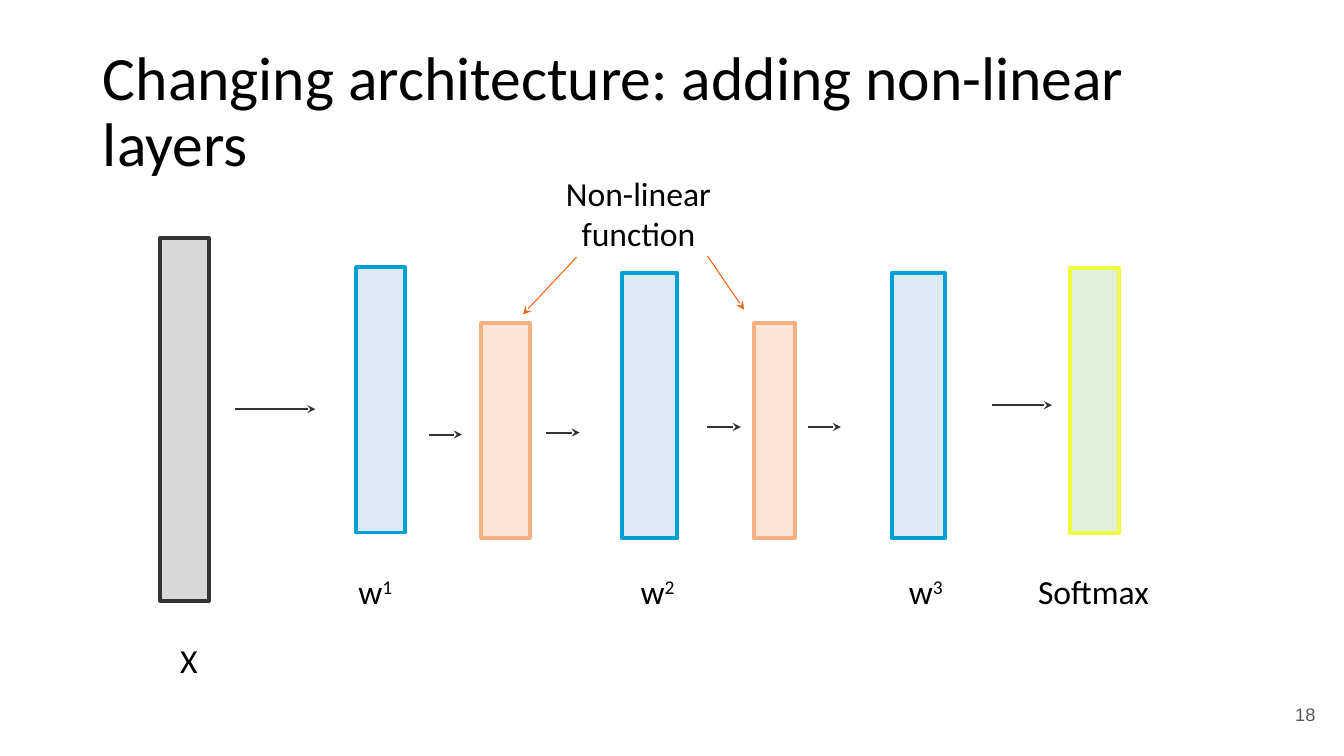
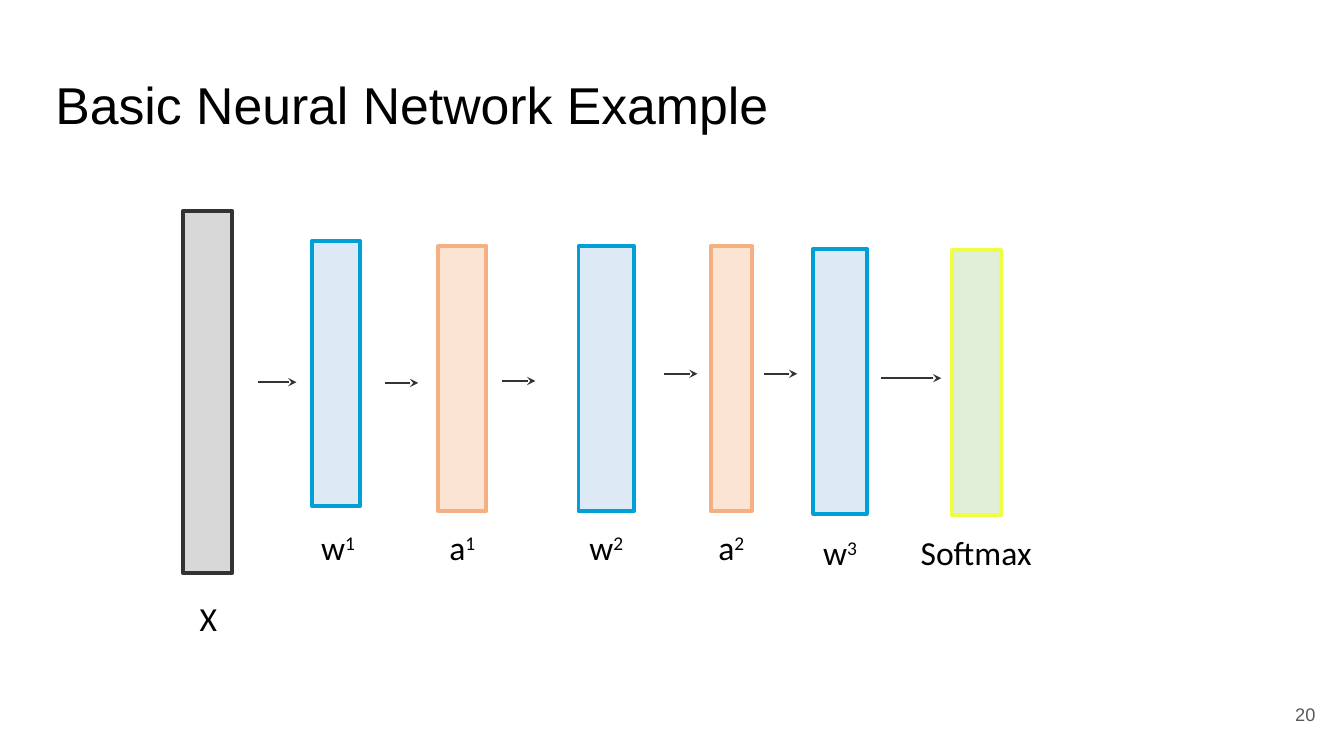
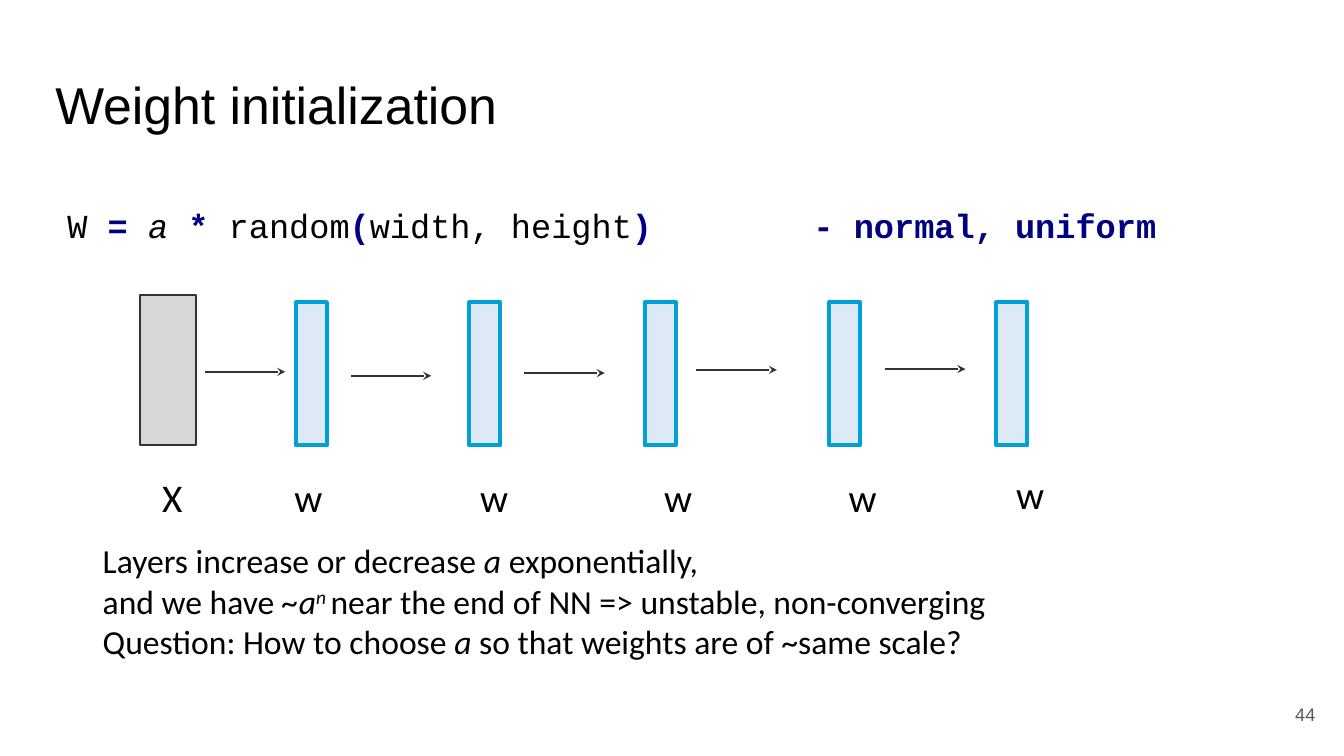
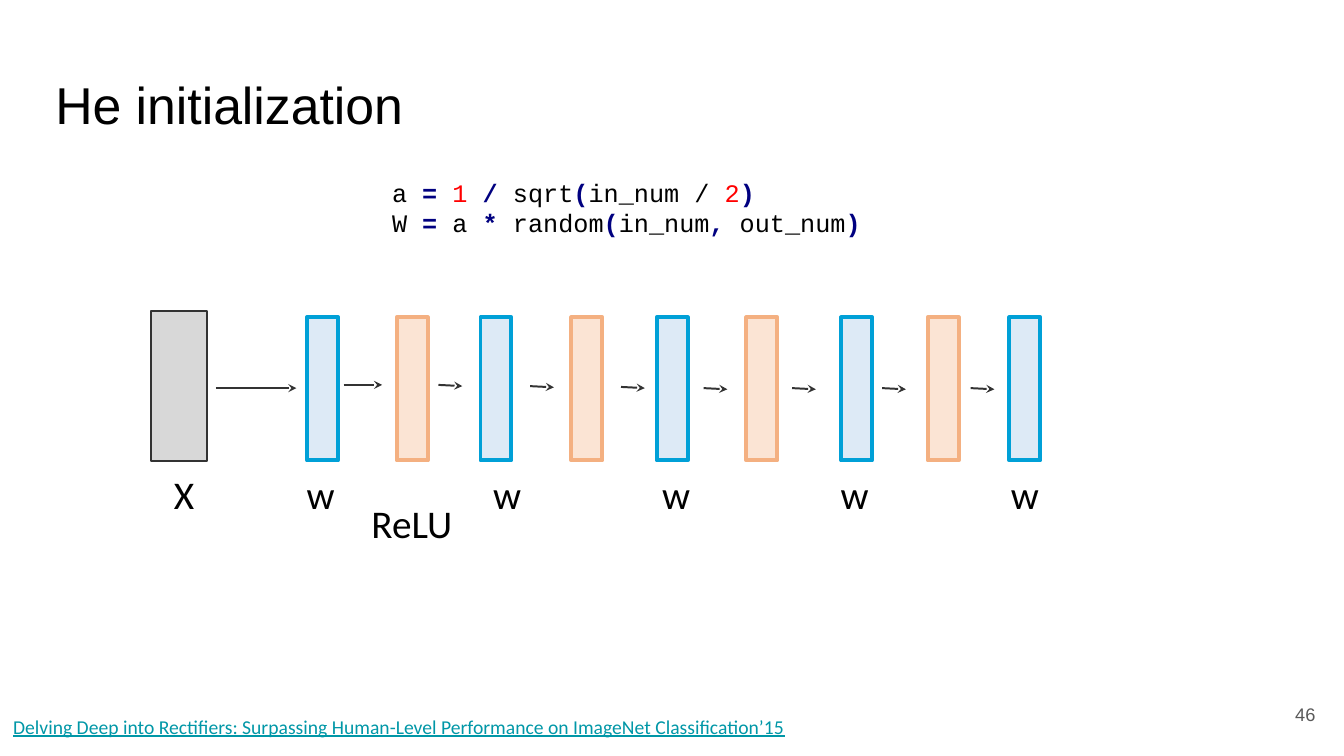
"""Build four slides on neural network layers and weight initialization."""
from dataclasses import dataclass
from functools import partial
from typing import Any, NamedTuple

import pptx
import pptx.dml.color
import pptx.enum.shapes
import pptx.enum.text
import pptx.oxml.ns
import pptx.slide
import pptx.text.text
import pptx.util
from lxml import etree

Cm = pptx.util.Cm
Pt = pptx.util.Pt
RGBColor = pptx.dml.color.RGBColor
ALIGN = pptx.enum.text.PP_ALIGN
ANCHOR = pptx.enum.text.MSO_ANCHOR
qn = pptx.oxml.ns.qn

BLACK = RGBColor(0x00, 0x00, 0x00)
CHARCOAL = RGBColor(0x33, 0x33, 0x33)
PAGE_GREY = RGBColor(0x59, 0x59, 0x59)
NAVY = RGBColor(0x00, 0x00, 0x80)
RED = RGBColor(0xFF, 0x00, 0x00)
LINK_TEAL = RGBColor(0x00, 0x97, 0xA7)
ORANGE = RGBColor(0xF6, 0x63, 0x0D)
INPUT_FILL = RGBColor(0xD8, 0xD8, 0xD8)
WEIGHT_FILL = RGBColor(0xDD, 0xEA, 0xF6)
WEIGHT_LINE = RGBColor(0x00, 0xA0, 0xD7)
ACTIVATION_FILL = RGBColor(0xFB, 0xE4, 0xD4)
ACTIVATION_LINE = RGBColor(0xF4, 0xB0, 0x81)
SOFTMAX_FILL = RGBColor(0xE1, 0xEF, 0xD8)
SOFTMAX_LINE = RGBColor(0xEE, 0xFF, 0x41)

SANS = "Arial"
HUMANIST = "Calibri"
MONO = "Courier New"


class LayerStyle(NamedTuple):
    """Colours and outline weight of a layer."""
    fill: RGBColor
    line: RGBColor
    weight: float = 2.83


INPUT = LayerStyle(INPUT_FILL, CHARCOAL)
THIN_INPUT = LayerStyle(INPUT_FILL, CHARCOAL, 1.42)
WEIGHT = LayerStyle(WEIGHT_FILL, WEIGHT_LINE)
ACTIVATION = LayerStyle(ACTIVATION_FILL, ACTIVATION_LINE)
SOFTMAX = LayerStyle(SOFTMAX_FILL, SOFTMAX_LINE)


class Layer(NamedTuple):
    """A network layer placed by its centre, in cm."""
    style: LayerStyle
    x: float
    y: float
    width: float
    height: float


class Arrow(NamedTuple):
    """An arrow from a start point by an offset, in cm."""
    x: float
    y: float
    dx: float
    dy: float = 0
    color: RGBColor = CHARCOAL
    weight: float = 1.42


class Piece(NamedTuple):
    """A stretch of text with one format."""
    text: str
    color: RGBColor = BLACK
    bold: bool = False
    italic: bool = False
    underline: bool = False
    raised: bool = False


class TextBlock(NamedTuple):
    """Paragraphs of pieces in a box, in cm."""
    left: float
    top: float
    width: float
    height: float
    size: float
    font: str
    lines: tuple[tuple[Piece, ...], ...]
    align: Any = ALIGN.LEFT
    anchor: Any = ANCHOR.TOP
    tab: float | None = None


class TitleStyle(NamedTuple):
    """Place and font of a title."""
    left: float
    top: float
    width: float
    height: float
    size: float
    font: str


TITLE = TitleStyle(1.14, 1.65, 31.55, 2.11, 37, SANS)
LARGE_TITLE = TitleStyle(2.34, 1.02, 30.07, 3.68, 44, HUMANIST)


@dataclass(frozen=True)
class Lesson:
    """Everything one slide shows."""
    number: int
    title: str
    layers: list[Layer]
    arrows: list[Arrow]
    texts: list[TextBlock]
    title_style: TitleStyle = TITLE


operator = partial(Piece, color=NAVY, bold=True)
wide_layer = partial(Layer, width=1.22, height=6.68)
slim_layer = partial(Layer, y=9.8, width=0.78, height=3.61)
step = partial(Arrow, dx=0.84)
long_step = partial(Arrow, dx=2.03)
pointer = partial(Arrow, color=ORANGE, weight=0.75)


def label(text: str, x: float, top: float, power: str = "", size: float = 24) -> TextBlock:
    """Return a caption centred on x, with an optional superscript."""
    width = 3.63
    pieces = (Piece(text),) + ((Piece(power, raised=True),) if power else ())
    return TextBlock(x - width / 2, top, width, 1.4, size, HUMANIST, (pieces,), ALIGN.CENTER)


big_label = partial(label, size=28)


def apply_format(target: Any, values: dict[str, Any]) -> None:
    """Set each named attribute of the target."""
    for name, value in values.items():
        setattr(target, name, value)


def write_lines(frame: pptx.text.text.TextFrame, block: TextBlock) -> None:
    """Fill a text frame with the lines of a block."""
    apply_format(frame, {
        "word_wrap": True,
        "auto_size": pptx.enum.text.MSO_AUTO_SIZE.NONE,
        "vertical_anchor": block.anchor,
    })
    for index, pieces in enumerate(block.lines):
        paragraph = frame.add_paragraph() if index else frame.paragraphs[0]
        paragraph.alignment = block.align
        if block.tab is not None:
            tabs = etree.SubElement(paragraph._p.get_or_add_pPr(), qn("a:tabLst"))
            etree.SubElement(tabs, qn("a:tab"), pos=str(int(Cm(block.tab))), algn="l")
        for piece in pieces:
            run = paragraph.add_run()
            run.text = piece.text
            apply_format(run.font, {
                "name": block.font,
                "size": Pt(block.size),
                "bold": piece.bold,
                "italic": piece.italic,
                "underline": piece.underline,
            })
            run.font.color.rgb = piece.color
            if piece.raised:
                run._r.get_or_add_rPr().set("baseline", "30000")


def draw_text(slide: pptx.slide.Slide, block: TextBlock) -> None:
    """Add a text box."""
    box = slide.shapes.add_textbox(
        Cm(block.left), Cm(block.top), Cm(block.width), Cm(block.height))
    write_lines(box.text_frame, block)


def draw_title(slide: pptx.slide.Slide, text: str, style: TitleStyle) -> None:
    """Place and fill the title placeholder."""
    title = slide.shapes.title
    apply_format(title, {
        name: Cm(getattr(style, name)) for name in ("left", "top", "width", "height")})
    write_lines(title.text_frame, TextBlock(
        *style, lines=((Piece(text),),), anchor=ANCHOR.MIDDLE))
    title.text_frame.paragraphs[0].line_spacing = 0.9


def draw_layer(slide: pptx.slide.Slide, layer: Layer) -> None:
    """Add a layer as a rectangle."""
    bar = slide.shapes.add_shape(
        pptx.enum.shapes.MSO_SHAPE.RECTANGLE,
        Cm(layer.x - layer.width / 2), Cm(layer.y - layer.height / 2),
        Cm(layer.width), Cm(layer.height))
    bar.shadow.inherit = False
    bar.fill.solid()
    bar.fill.fore_color.rgb = layer.style.fill
    bar.line.color.rgb = layer.style.line
    bar.line.width = Pt(layer.style.weight)


def draw_arrow(slide: pptx.slide.Slide, arrow: Arrow) -> None:
    """Add a straight connector with a stealth head."""
    connector = slide.shapes.add_connector(
        pptx.enum.shapes.MSO_CONNECTOR.STRAIGHT,
        Cm(arrow.x), Cm(arrow.y), Cm(arrow.x + arrow.dx), Cm(arrow.y + arrow.dy))
    connector.line.color.rgb = arrow.color
    connector.line.width = Pt(arrow.weight)
    properties = connector._element.spPr
    etree.SubElement(properties.find(qn("a:ln")), qn("a:tailEnd"), type="stealth")
    etree.SubElement(properties, qn("a:effectLst"))


def draw_lesson(deck: Any, lesson: Lesson) -> None:
    """Add one slide with its title, network, texts and page number."""
    slide = deck.slides.add_slide(deck.slide_layouts.get_by_name("Title Only"))
    draw_title(slide, lesson.title, lesson.title_style)
    for layer in lesson.layers:
        draw_layer(slide, layer)
    for arrow in lesson.arrows:
        draw_arrow(slide, arrow)
    for block in lesson.texts:
        draw_text(slide, block)
    draw_text(slide, TextBlock(
        31.37, 17.27, 2.03, 1.45, 13, SANS,
        ((Piece(str(lesson.number), PAGE_GREY),),), ALIGN.RIGHT, ANCHOR.MIDDLE))


ARCHITECTURE = Lesson(
    18, "Changing architecture: adding non-linear layers",
    layers=[
        Layer(INPUT, 4.65, 10.57, 1.22, 9.14),
        wide_layer(WEIGHT, 9.59, 10.08),
        wide_layer(ACTIVATION, 12.74, 10.85, height=5.41),
        wide_layer(WEIGHT, 16.37, 10.22, width=1.4),
        wide_layer(ACTIVATION, 19.52, 10.85, width=1.04, height=5.41),
        wide_layer(WEIGHT, 23.15, 10.22, width=1.35),
        wide_layer(SOFTMAX, 27.58, 10.1),
    ],
    arrows=[
        long_step(5.92, 10.31),
        step(10.8, 10.95), step(13.77, 10.9),
        step(17.83, 10.76), step(20.35, 10.76),
        Arrow(24.99, 10.21, 1.52),
        pointer(14.53, 6.48, -1.35, 1.44), pointer(17.83, 6.45, 0.92, 1.35),
    ],
    texts=[
        label("X", 4.76, 16),
        label("w", 9.46, 14.27, "1"),
        label("w", 16.57, 14.27, "2"),
        label("w", 23.33, 14.27, "3"),
        label("Softmax", 27.56, 14.27),
        TextBlock(12.93, 4.22, 6.32, 2.31, 24, HUMANIST,
                  ((Piece("Non-linear function"),),), ALIGN.CENTER),
    ],
    title_style=LARGE_TITLE,
)

NETWORK = Lesson(
    20, "Basic Neural Network Example",
    layers=[
        Layer(INPUT, 5.23, 9.88, 1.22, 9.14),
        wide_layer(WEIGHT, 8.47, 9.41),
        wide_layer(ACTIVATION, 11.65, 9.54),
        wide_layer(WEIGHT, 15.28, 9.54, width=1.4),
        wide_layer(ACTIVATION, 18.43, 9.54, width=1.04),
        wide_layer(WEIGHT, 21.17, 9.61, width=1.35),
        wide_layer(SOFTMAX, 24.61, 9.64),
    ],
    arrows=[
        Arrow(6.5, 9.63, 0.97),
        step(9.7, 9.65), step(12.65, 9.6),
        step(16.74, 9.42), step(19.25, 9.42),
        Arrow(22.2, 9.53, 1.52),
    ],
    texts=[
        label("X", 5.25, 14.94),
        label("w", 8.52, 13.16, "1"),
        label("a", 11.65, 13.16, "1"),
        label("w", 15.28, 13.16, "2"),
        label("a", 18.43, 13.16, "2"),
        label("w", 21.17, 13.28, "3"),
        label("Softmax", 24.6, 13.28),
    ],
)

WEIGHT_INITIALIZATION = Lesson(
    44, "Weight initialization",
    layers=[Layer(THIN_INPUT, 4.24, 9.33, 1.42, 3.78)]
    + [slim_layer(WEIGHT, x, y=9.42) for x in (7.85, 12.22, 16.64, 21.29, 25.5)],
    arrows=[long_step(x, y) for x, y in (
        (5.16, 9.37), (8.84, 9.47), (13.21, 9.4), (17.55, 9.32), (22.3, 9.3))],
    texts=[
        TextBlock(1.45, 5.05, 28.68, 1.27, 24, MONO, ((
            Piece("W "), operator("= "), Piece("a ", italic=True), operator("*"),
            Piece(" random"), operator("("), Piece("width, height"),
            operator(")\t- normal, uniform")),), tab=18.8),
        big_label("X", 4.34, 11.81),
        *(big_label("w", x, 11.81) for x in (7.77, 12.45, 17.09, 21.74)),
        big_label("w", 25.96, 11.73),
        TextBlock(2.34, 13.49, 30.4, 3.33, 24, HUMANIST, (
            (Piece("Layers increase or decrease "), Piece("a", italic=True),
             Piece(" exponentially,")),
            (Piece("and we have"), Piece(" ~a", italic=True),
             Piece("n ", italic=True, raised=True),
             Piece("near the end of NN => unstable, non-converging")),
            (Piece("Question: How to choose "), Piece("a ", italic=True),
             Piece("so that weights are of ~same scale?")))),
    ],
)

HE_INITIALIZATION = Lesson(
    46, "He initialization",
    layers=[Layer(THIN_INPUT, 4.52, 9.74, 1.42, 3.78)]
    + [slim_layer(WEIGHT, x) for x in (8.13, 12.5, 16.94, 21.59, 25.83)]
    + [slim_layer(ACTIVATION, x) for x in (10.39, 14.79, 19.2, 23.77)],
    arrows=[long_step(5.44, 9.78), Arrow(8.66, 9.7, 0.97)]
    + [Arrow(x, y, 0.6, 0.03) for x, y in (
        (11.05, 9.7), (13.36, 9.73), (15.65, 9.75), (17.73, 9.78),
        (19.96, 9.78), (22.23, 9.78), (24.46, 9.78))],
    texts=[
        TextBlock(9.63, 4.34, 16.94, 1.8, 18, MONO, (
            (Piece("a "), operator("= "), Piece("1 ", RED), operator("/"),
             Piece(" sqrt"), operator("("), Piece("in_num / "), Piece("2", RED),
             operator(")")),
            (Piece("W "), operator("="), Piece(" a "), operator("*"),
             Piece(" random"), operator("("), Piece("in_num"), operator(","),
             Piece(" out_num"), operator(")")))),
        big_label("X", 4.64, 11.73),
        *(big_label("w", x, 11.73) for x in (8.08, 12.78, 17.04, 21.54, 25.83)),
        big_label("ReLU", 10.38, 12.45),
        TextBlock(0.08, 17.88, 20.5, 0.86, 14, HUMANIST, ((Piece(
            "Delving Deep into Rectifiers: Surpassing Human-Level Performance"
            " on ImageNet Classification’15", LINK_TEAL, underline=True),),)),
    ],
)


def main() -> None:
    """Build and save the deck."""
    deck = pptx.Presentation()
    apply_format(deck, {"slide_width": Cm(33.87), "slide_height": Cm(19.05)})
    for lesson in (ARCHITECTURE, NETWORK, WEIGHT_INITIALIZATION, HE_INITIALIZATION):
        draw_lesson(deck, lesson)
    deck.save("out.pptx")


if __name__ == "__main__":
    main()
